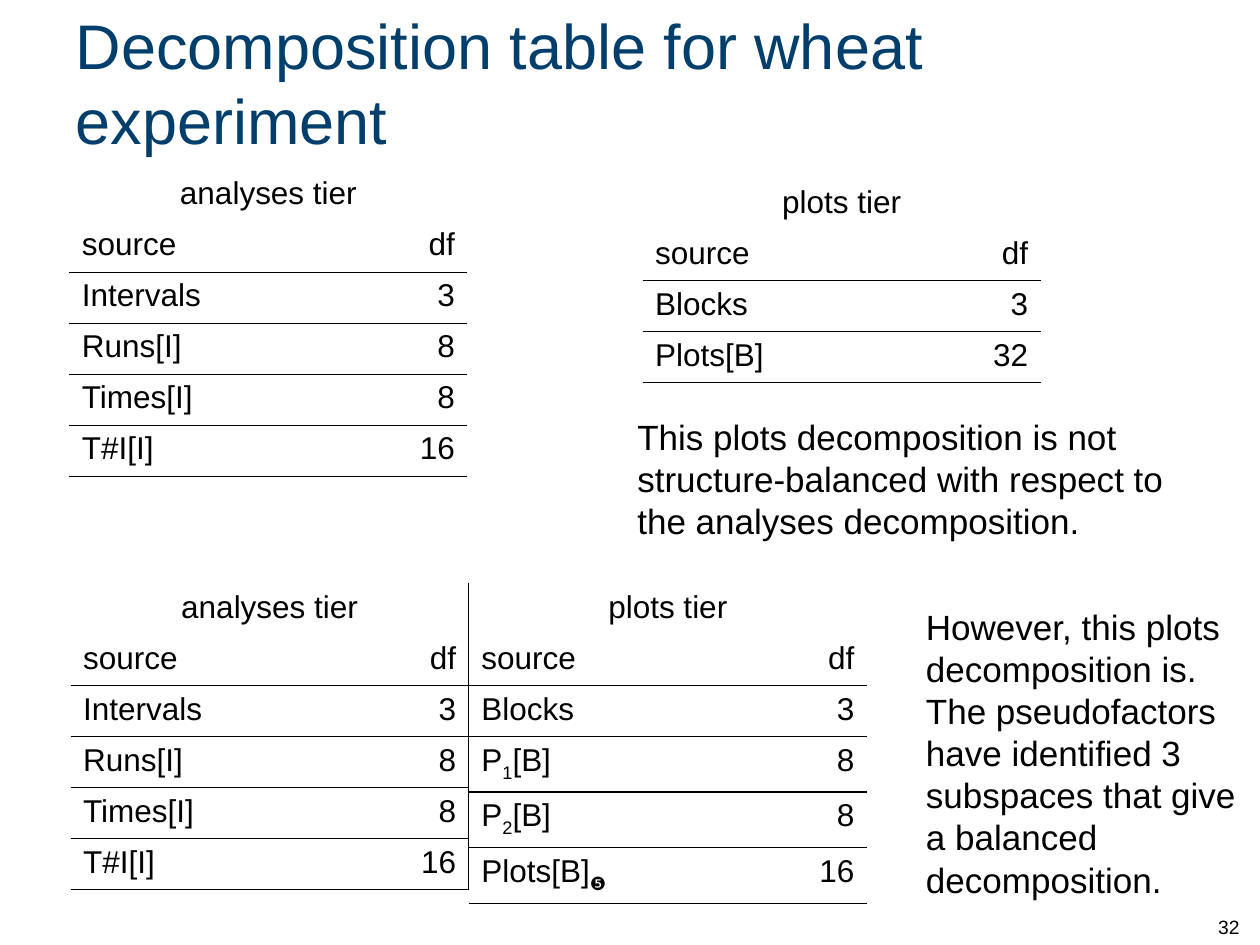
from lxml import etree
from pptx import Presentation
from pptx import util as u
from pptx.dml import color
from pptx.enum import text as t
from pptx.oxml import ns

HUES = {"title": "003E6C", "ink": "000000"}
PLAIN = "{2D5ABB26-0587-4C30-8999-92F81FD0307C}"
HEAD = ("source", "df")
TIMES = [("Intervals", 3), ("Runs[I]", 8), ("Times[I]", 8), ("T#I[I]", 16)]
PLOTS = [("Blocks", 3), ("Plots[B]", 32)]
SPLIT = [("Blocks", 3), ("P_1_[B]", 8), ("P_2_[B]", 8), ("Plots[B]_❺", 16)]


def style(font, size, hue="ink"):
    """Set the face, size and colour of a font."""
    for key, val in {"name": "Arial", "size": u.Pt(size), "bold": False}.items():
        setattr(font, key, val)
    font.color.rgb = color.RGBColor.from_string(HUES[hue])


def place(shape, box):
    """Move a shape to left, top, width, height in inches."""
    for key, val in zip(("left", "top", "width", "height"), box):
        setattr(shape, key, u.Inches(val))


def write(para, words, size, hue="ink", align=t.PP_ALIGN.LEFT):
    """Fill a paragraph; parts between underscores are subscripts."""
    para.alignment = align
    for num, part in enumerate(words.split("_")):
        if part:
            run = para.add_run()
            run.text = part
            style(run.font, size, hue)
            if num % 2:
                run.font._element.set("baseline", "-25000")


def add_title(slide, words, box):
    """Put the heading in the title placeholder."""
    title = slide.shapes.title
    place(title, box)
    frame = title.text_frame
    frame.word_wrap = True
    frame.auto_size = t.MSO_AUTO_SIZE.NONE
    frame.vertical_anchor = t.MSO_ANCHOR.MIDDLE
    write(frame.paragraphs[0], words, 36, "title")


def add_note(slide, box, lines, size=20, anchor=t.MSO_ANCHOR.TOP):
    """Add a wrapped text box with one paragraph per line."""
    frame = slide.shapes.add_textbox(*map(u.Inches, box)).text_frame
    frame.word_wrap = True
    frame.vertical_anchor = anchor
    for num, line in enumerate(lines):
        para = frame.add_paragraph() if num else frame.paragraphs[0]
        write(para, line, size)


def rule(cell, sides):
    """Draw thin lines on the given sides of a cell."""
    props = cell._tc.get_or_add_tcPr()
    for side in sides:
        line = etree.SubElement(props, ns.qn("a:ln" + side), w=str(u.Pt(0.75)))
        fill = etree.SubElement(line, ns.qn("a:solidFill"))
        etree.SubElement(fill, ns.qn("a:srgbClr"), val=HUES["ink"])


def add_tier(slide, left, top, name, data, edge=""):
    """Add a tier table of sources and degrees of freedom."""
    rows = [(name, ""), HEAD, *data]
    box = (left, top, 3.16, 0.41 * len(rows))
    table = slide.shapes.add_table(len(rows), 2, *map(u.Inches, box)).table
    table._tbl.tblPr.find(ns.qn("a:tableStyleId")).text = PLAIN
    table.first_row = table.horz_banding = False
    for col, wide in zip(table.columns, (2.46, 0.7)):
        col.width = u.Inches(wide)
    for row in table.rows:
        row.height = u.Inches(0.405)
    table.cell(0, 0).merge(table.cell(0, 1))
    for r, row in enumerate(rows):
        for c, words in enumerate(row):
            cell = table.cell(r, c)
            align = (t.PP_ALIGN.LEFT, t.PP_ALIGN.RIGHT)[c] if r else t.PP_ALIGN.CENTER
            write(cell.text_frame.paragraphs[0], str(words), 18, align=align)
            rule(cell, (edge if c or not r else "") + ("B" if r else ""))
            cell.fill.background()


def main():
    """Build the slide and save it."""
    deck = Presentation()
    deck.slide_width, deck.slide_height = u.Inches(10), u.Inches(7.5)
    slide = deck.slides.add_slide(deck.slide_layouts[5])
    add_title(slide, "Decomposition table for wheat experiment", (0.5, 0.08, 9, 1.14))
    add_note(slide, (9.57, 7, 0.42, 0.5), ["32"], 11, t.MSO_ANCHOR.BOTTOM)
    add_tier(slide, 0.55, 1.35, "analyses tier", TIMES)
    add_tier(slide, 5.1, 1.42, "plots tier", PLOTS)
    add_tier(slide, 3.72, 4.63, "plots tier", SPLIT)
    add_tier(slide, 0.56, 4.63, "analyses tier", TIMES, "R")
    add_note(slide, (4.96, 3.25, 4.58, 1.11), [
        "This plots decomposition is not structure-balanced "
        "with respect to the analyses decomposition."])
    add_note(slide, (7.25, 4.76, 2.69, 2.46), [
        "However, this plots decomposition is.",
        "The pseudofactors have identified 3 subspaces "
        "that give a balanced decomposition."])
    deck.save("out.pptx")


if __name__ == "__main__":
    main()
